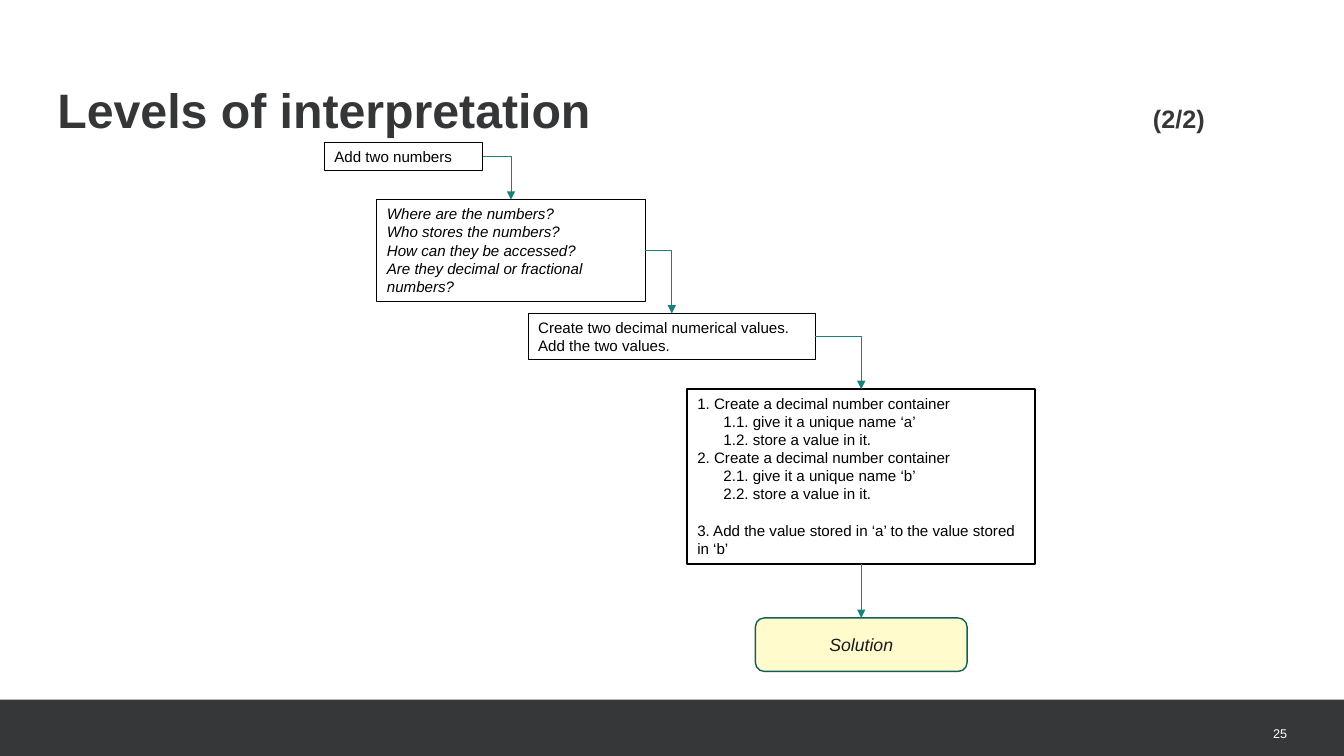
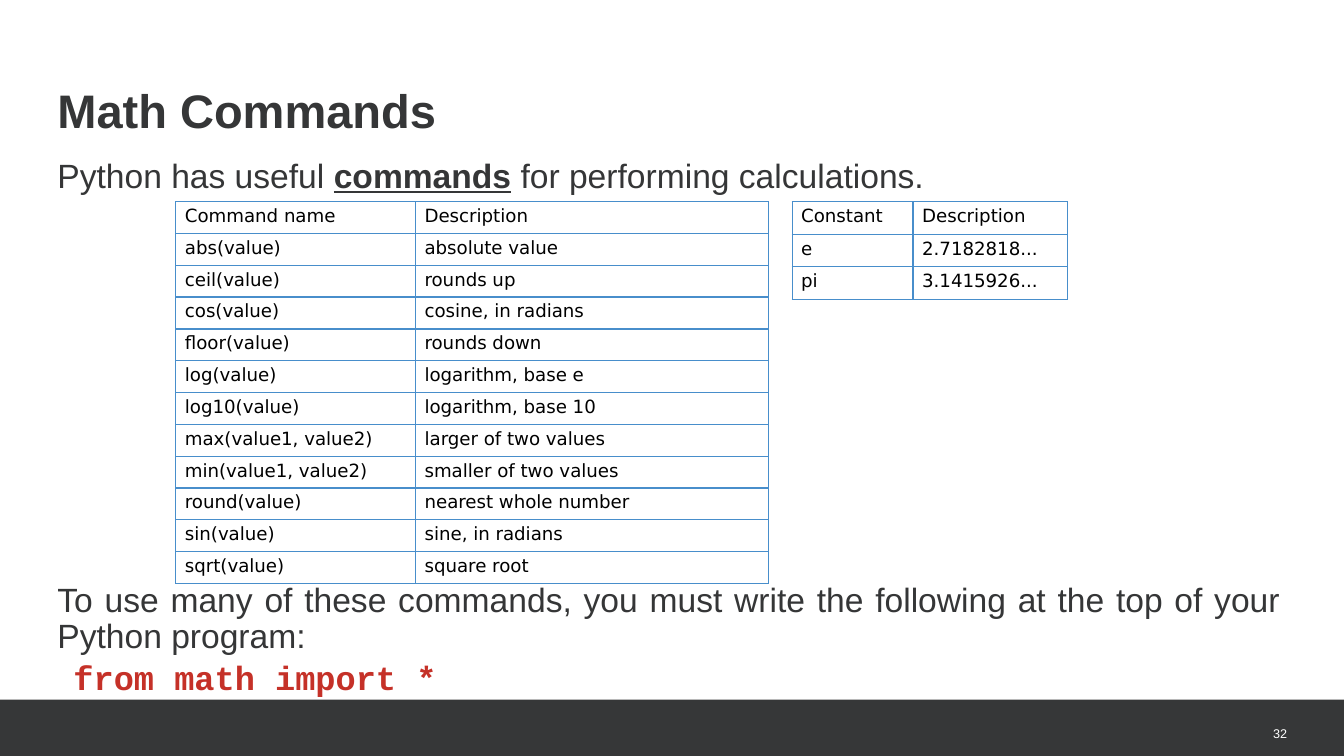
from lxml import etree
from pptx import Presentation
from pptx.dml.color import RGBColor
from pptx.enum.shapes import MSO_CONNECTOR, MSO_SHAPE
from pptx.enum.text import MSO_ANCHOR, MSO_AUTO_SIZE, PP_ALIGN
from pptx.oxml.ns import qn
from pptx.util import Pt

RECT, ROUND = MSO_SHAPE.RECTANGLE, MSO_SHAPE.ROUNDED_RECTANGLE
ELBOW, STRAIGHT = MSO_CONNECTOR.ELBOW, MSO_CONNECTOR.STRAIGHT
TOP, MIDDLE = MSO_ANCHOR.TOP, MSO_ANCHOR.MIDDLE
LEFT, CENTER, RIGHT = PP_ALIGN.LEFT, PP_ALIGN.CENTER, PP_ALIGN.RIGHT
JUSTIFY, NO_FIT = PP_ALIGN.JUSTIFY, MSO_AUTO_SIZE.NONE

COLORS = {"ink": "353637", "band": "363738", "white": "FFFFFF", "black": "000000",
          "arrow": "188178", "edge": "125F59", "cream": "FFFBCC", "dark": "1A1B1C",
          "grid": "488ECB", "code": "C53128"}
WIDE, HIGH = 960, 540
MARGIN = 41
BODY_W = 873.4


def style(font, size, color, name="Arial", **flags):
    font.size, font.name = Pt(size), name
    font.color.rgb = RGBColor.from_string(COLORS[color])
    for flag, value in flags.items():
        setattr(font, flag, value)


def start(layout, title, size, width, number):
    """Add a slide with its title, footer band and page number."""
    slide = deck.slides.add_slide(deck.slide_layouts[layout])
    head = slide.shapes.title
    head.left, head.top, head.width, head.height = Pt(MARGIN), Pt(66.2), Pt(width), Pt(56.9)
    band = slide.shapes.add_shape(RECT, 0, Pt(499.7), Pt(WIDE), Pt(HIGH - 499.7))
    band.shadow.inherit = False
    band.fill.solid()
    band.fill.fore_color.rgb = RGBColor.from_string(COLORS["band"])
    band.line.fill.background()
    page = slide.shapes.add_textbox(Pt(879.8), Pt(499.7), Pt(39.6), Pt(39.6))
    for shape, text, anchor in ((head, title, TOP), (page, number, MIDDLE)):
        frame = shape.text_frame
        frame.margin_left = frame.margin_right = frame.margin_top = frame.margin_bottom = 0
        frame.auto_size, frame.word_wrap = NO_FIT, True
        frame.vertical_anchor = anchor
        frame.text = text
    para = head.text_frame.paragraphs[0]
    para.alignment, para.line_spacing = LEFT, Pt(32.5)
    style(para.font, size, "ink", bold=True)
    para = page.text_frame.paragraphs[0]
    para.alignment, para.line_spacing = RIGHT, Pt(19)
    style(para.font, 9, "white")
    return slide


deck = Presentation()
deck.slide_width, deck.slide_height = Pt(WIDE), Pt(HIGH)

# Levels of interpretation: title with a tabbed part number
slide = start(5, "Levels of interpretation", 34.5, BODY_W, "25")
para = slide.shapes.title.text_frame.paragraphs[0]
props = para._p.get_or_add_pPr()
tabs = etree.Element(qn("a:tabLst"))
etree.SubElement(tabs, qn("a:tab"), pos=str(Pt(782.6)), algn="l")
props.insert_element_before(tabs, "a:defRPr", "a:extLst")
run = para.add_run()
run.text = "\t(2/2)"
run.font.size = Pt(18)

# Boxes: position, line weight, italics, and lines as (indent, space before, text)
STEPS = [
    ((231.8, 101.5, 113, 20.2), 0.75, False, [(0, 0, "Add two numbers")]),
    ((269.3, 142.6, 191.5, 72.7), 0.75, True, [
        (0, 0, "Where are the numbers?"),
        (0, 0, "Who stores the numbers?"),
        (0, 0, "How can they be accessed?"),
        (0, 0, "Are they decimal or fractional numbers?")]),
    ((377.3, 223.9, 205.2, 33.1), 0.75, False, [
        (0, 0, "Create two decimal numerical values."),
        (0, 0, "Add the two values.")]),
    ((491, 277.9, 248.4, 125.3), 1.5, False, [
        (0, 0, "1. Create a decimal number container"),
        (18.7, 0, "1.1. give it a unique name ‘a’"),
        (18.7, 0, "1.2. store a value in it."),
        (0, 0, "2. Create a decimal number container"),
        (18.7, 0, "2.1. give it a unique name ‘b’"),
        (18.7, 0, "2.2. store a value in it."),
        (0, 13, "3. Add the value stored in ‘a’ to the value stored in ‘b’")]),
    ((539.6, 441.4, 151.2, 38.2), 1, True, [(0, 0, "Solution")]),
]
boxes = []
for place, weight, slant, lines in STEPS:
    last = len(boxes) == len(STEPS) - 1
    box = slide.shapes.add_shape(ROUND if last else RECT, *map(Pt, place))
    box.shadow.inherit = False
    box.line.width = Pt(weight)
    box.line.color.rgb = RGBColor.from_string(COLORS["edge" if last else "black"])
    if last:
        box.fill.solid()
        box.fill.fore_color.rgb = RGBColor.from_string(COLORS["cream"])
    else:
        box.fill.background()
    frame = box.text_frame
    frame.word_wrap = True
    frame.vertical_anchor = MIDDLE if last else TOP
    frame.text = "\n".join(text for _, _, text in lines)
    for para, (indent, before, _) in zip(frame.paragraphs, lines):
        para.alignment = CENTER if last else LEFT
        if indent:
            para._p.get_or_add_pPr().set("indent", str(Pt(indent)))
        if before:
            para.space_before = Pt(before)
        style(para.font, 12.6 if last else 10.8, "dark" if last else "black", italic=slant)
    boxes.append(box)

# Arrows: right side to top, and straight down into the solution
for tail, head in zip(boxes, boxes[1:]):
    down = head is boxes[-1]
    link = slide.shapes.add_connector(STRAIGHT if down else ELBOW, 0, 0, 0, 0)
    link.begin_connect(tail, 2 if down else 3)
    link.end_connect(head, 0)
    link.line.width = Pt(0.5)
    link.line.color.rgb = RGBColor.from_string(COLORS["arrow"])
    props = link._element.spPr
    if not down:
        props.find(qn("a:prstGeom")).set("prst", "bentConnector2")
    etree.SubElement(props.find(qn("a:ln")), qn("a:tailEnd"), type="triangle")
    etree.SubElement(props, qn("a:effectLst"))

# Math commands: body text around the tables
slide = start(1, "Math Commands", 33.6, 430.6, "32")
body = slide.placeholders[1]
body.left, body.top, body.width, body.height = Pt(MARGIN), Pt(87.8), Pt(BODY_W), Pt(404.6)
frame = body.text_frame
frame.margin_left = frame.margin_right = frame.margin_bottom = 0
frame.margin_top = Pt(25.9)
frame.auto_size, frame.vertical_anchor = NO_FIT, TOP
frame.text = ("Python has useful \n"
              "To use many of these commands, you must write the following "
              "at the top of your Python program:\n"
              "from math import *")
for para, before in zip(frame.paragraphs, (0, 273.5, 0)):
    code = para is not frame.paragraphs[0] and para.text.startswith("from")
    para.level = int(code)
    para.alignment, para.line_spacing = JUSTIFY, 0.9
    para.space_before, para.space_after = Pt(before), Pt(3.7)
    props = para._p.get_or_add_pPr()
    props.set("marL", str(Pt(33.8 if code else 0)))
    props.set("indent", str(Pt(-22.3 if code else 0)))
    props.insert_element_before(etree.Element(qn("a:buNone")), "a:tabLst", "a:defRPr", "a:extLst")
    if code:
        style(para.font, 24, "code", "Courier New", bold=True)
    else:
        style(para.font, 24, "ink")
intro = frame.paragraphs[0]
run = intro.add_run()
run.text = "commands"
run.font.bold = run.font.underline = True
intro.add_run().text = " for performing calculations."

# Tables: left edge, column widths, row height and rows
TABLES = [
    (125.6, (171.2, 252.3), 22.75, [
        ("Command name", "Description"),
        ("abs(value)", "absolute value"),
        ("ceil(value)", "rounds up"),
        ("cos(value)", "cosine, in radians"),
        ("floor(value)", "rounds down"),
        ("log(value)", "logarithm, base e"),
        ("log10(value)", "logarithm, base 10"),
        ("max(value1, value2)", "larger of two values"),
        ("min(value1, value2)", "smaller of two values"),
        ("round(value)", "nearest whole number"),
        ("sin(value)", "sine, in radians"),
        ("sqrt(value)", "square root")]),
    (565.8, (86.4, 110.2), 23.3, [
        ("Constant", "Description"),
        ("e", "2.7182818..."),
        ("pi", "3.1415926...")]),
]
for left, widths, high, rows in TABLES:
    table = slide.shapes.add_table(len(rows), len(widths), Pt(left), Pt(144),
                                   Pt(sum(widths)), Pt(high * len(rows))).table
    table.first_row = table.horz_banding = False
    for column, width in zip(table.columns, widths):
        column.width = Pt(width)
    for r, row in enumerate(rows):
        table.rows[r].height = Pt(high)
        for c, text in enumerate(row):
            cell = table.cell(r, c)
            cell.text = text
            cell.margin_left = cell.margin_right = Pt(6.5)
            cell.margin_top = cell.margin_bottom = Pt(2.9)
            style(cell.text_frame.paragraphs[0].font, 13, "black", "DejaVu Sans")
            props = cell._tc.get_or_add_tcPr()
            for side in ("lnL", "lnR", "lnT", "lnB"):
                edge = etree.SubElement(props, qn("a:" + side), w=str(Pt(1)))
                fill = etree.SubElement(edge, qn("a:solidFill"))
                etree.SubElement(fill, qn("a:srgbClr"), val=COLORS["grid"])
            cell.fill.background()

deck.save("out.pptx")
